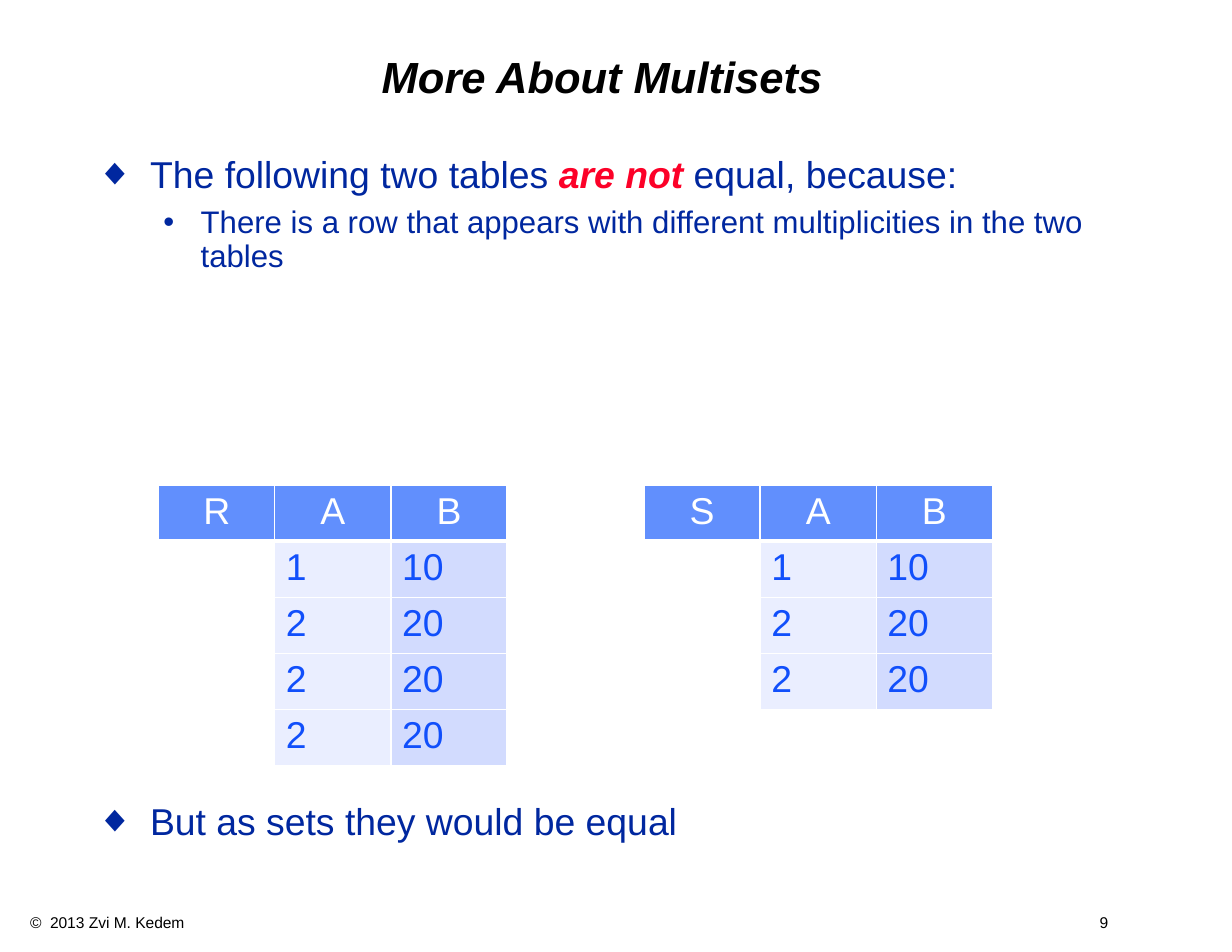
from lxml.etree import SubElement
from pptx import Presentation
from pptx.dml.color import RGBColor
from pptx.enum.text import MSO_ANCHOR, PP_ALIGN
from pptx.oxml.ns import qn
from pptx.util import Pt

BLACK = RGBColor(0x00, 0x00, 0x00)
WHITE = RGBColor(0xFF, 0xFF, 0xFF)
NAVY = RGBColor(0x00, 0x27, 0x9F)
RED = RGBColor(0xFC, 0x01, 0x28)
HEADER_BLUE = RGBColor(0x61, 0x8F, 0xFD)
CELL_BLUE = RGBColor(0x11, 0x4F, 0xFB)
COLUMN_FILLS = [WHITE, RGBColor(0xEA, 0xEE, 0xFF), RGBColor(0xD2, 0xDB, 0xFE)]

TITLE = "More About Multisets"
FOOTER = "©  2013 Zvi M. Kedem\t9"
EMPHASIS = dict(bold=True, italic=True)
LEVELS = [
    dict(bullet="◆", margin=34.5, indent=-34.5, size=24),
    dict(bullet="•", margin=67, indent=-24, size=20),
]
# level, space before, spans of (text, format)
BODY = [
    (0, 0, [("The following two tables ", {}),
            ("are not", dict(EMPHASIS, color=RED)),
            (" equal, because:", {})]),
    (1, 6.7, [("There is a row that appears with different multiplicities "
               "in the two tables", {})]),
    (0, 340, [("But as sets they would be equal", {})]),
]
TABLES = [
    (102, [("R", "A", "B"), ("", "1", "10"), ("", "2", "20"),
           ("", "2", "20"), ("", "2", "20")]),
    (414, [("S", "A", "B"), ("", "1", "10"), ("", "2", "20"),
           ("", "2", "20")]),
]
TABLE_TOP, COLUMN_WIDTH, ROW_HEIGHT = 312, 74.67, 34


def set_font(font, color, **values):
    font.color.rgb = color
    for name, value in dict(name="Arial", **values).items():
        setattr(font, name, value)


def place(shape, left, top, width, height):
    values = dict(left=left, top=top, width=width, height=height)
    for name, value in values.items():
        setattr(shape, name, Pt(value))


def set_frame(frame, anchor):
    values = dict(margin_left=Pt(8), margin_right=Pt(8), margin_top=Pt(4.3),
                  margin_bottom=Pt(4.3), word_wrap=True,
                  vertical_anchor=anchor)
    for name, value in values.items():
        setattr(frame, name, value)


def add_bullet(para, bullet, margin, indent):
    props = para._p.get_or_add_pPr()
    props.set("marL", str(Pt(margin)))
    props.set("indent", str(Pt(indent)))
    color = SubElement(props, qn("a:buClr"))
    SubElement(color, qn("a:srgbClr"), val=str(NAVY))
    SubElement(props, qn("a:buFont"), typeface="Arial")
    SubElement(props, qn("a:buChar"), char=bullet)


def add_borders(cell, bottom):
    props = cell._tc.get_or_add_tcPr()
    for side, width in dict(L=1, R=1, T=1, B=bottom).items():
        line = SubElement(props, qn(f"a:ln{side}"), w=str(Pt(width)))
        fill = SubElement(line, qn("a:solidFill"))
        SubElement(fill, qn("a:srgbClr"), val=str(WHITE))


def add_title(page):
    title = page.shapes.title
    place(title, 54, 18, 666, 66)
    set_frame(title.text_frame, MSO_ANCHOR.MIDDLE)
    title.text_frame.text = TITLE
    para = title.text_frame.paragraphs[0]
    para.alignment = PP_ALIGN.CENTER
    para.line_spacing = 0.9
    set_font(para.font, BLACK, size=Pt(28), **EMPHASIS)


def add_body(page):
    box = page.shapes.add_textbox(Pt(54), Pt(96), Pt(672), Pt(480))
    frame = box.text_frame
    set_frame(frame, MSO_ANCHOR.TOP)
    for number, (level, space, spans) in enumerate(BODY):
        para = frame.add_paragraph() if number else frame.paragraphs[0]
        style = LEVELS[level]
        para.level = level
        add_bullet(para, style["bullet"], style["margin"], style["indent"])
        para.line_spacing = 0.9
        para.space_before = Pt(space)
        for text, values in spans:
            span = para.add_run()
            span.text = text
            set_font(span.font, **{"color": NAVY, "size": Pt(style["size"]),
                                   **values})


def add_relation(page, left, rows):
    columns = len(rows[0])
    table = page.shapes.add_table(
        len(rows), columns, Pt(left), Pt(TABLE_TOP),
        Pt(columns * COLUMN_WIDTH), Pt(len(rows) * ROW_HEIGHT)).table
    table.horz_banding = False
    for column in table.columns:
        column.width = Pt(COLUMN_WIDTH)
    for r, row in enumerate(rows):
        header = r == 0
        for c, text in enumerate(row):
            cell = table.cell(r, c)
            add_borders(cell, bottom=3 if header else 1)
            cell.fill.solid()
            cell.fill.fore_color.rgb = HEADER_BLUE if header else COLUMN_FILLS[c]
            cell.text = text
            para = cell.text_frame.paragraphs[0]
            para.alignment = PP_ALIGN.CENTER if header else PP_ALIGN.LEFT
            set_font(para.font, WHITE if header else CELL_BLUE,
                     size=Pt(24), bold=False)


def add_footer(page):
    box = page.shapes.add_textbox(Pt(12.24), Pt(583.2), Pt(744.5), Pt(19.4))
    box.text_frame.word_wrap = True
    para = box.text_frame.paragraphs[0]
    para.text = FOOTER
    tabs = SubElement(para._p.get_or_add_pPr(), qn("a:tabLst"))
    SubElement(tabs, qn("a:tab"), pos=str(Pt(687.6)), algn="l")
    set_font(para.font, BLACK, size=Pt(10))


def main():
    deck = Presentation()
    deck.slide_width, deck.slide_height = Pt(792), Pt(612)
    page = deck.slides.add_slide(deck.slide_layouts[5])
    add_footer(page)
    add_title(page)
    add_body(page)
    for left, rows in TABLES:
        add_relation(page, left, rows)
    deck.save("out.pptx")


if __name__ == "__main__":
    main()
